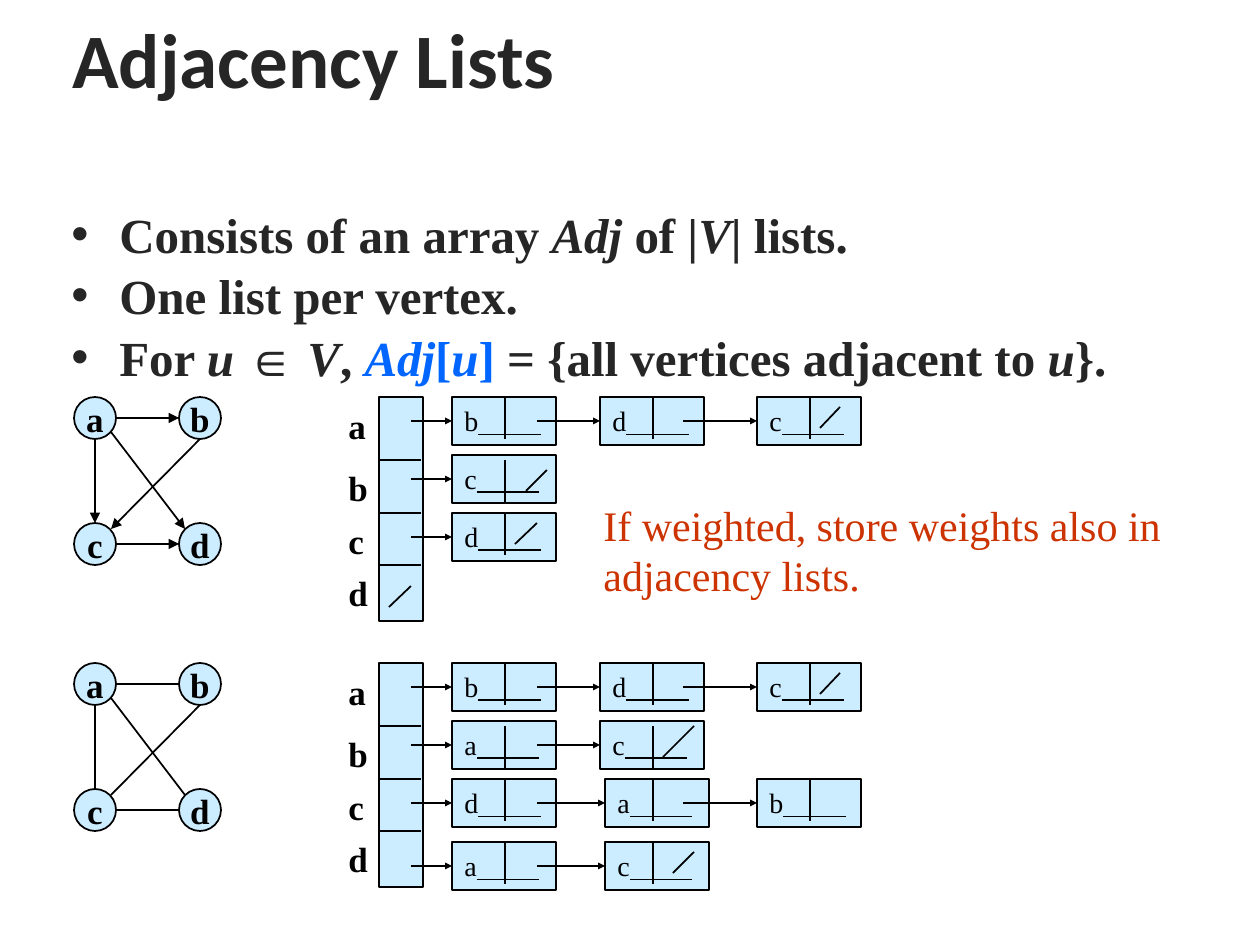
from pptx import Presentation
from pptx.dml.color import RGBColor
from pptx.enum.shapes import MSO_CONNECTOR, MSO_SHAPE
from pptx.enum.text import MSO_ANCHOR, MSO_AUTO_SIZE, PP_ALIGN
from pptx.oxml.ns import qn
from pptx.util import Pt
from lxml.etree import SubElement

PX = 914400 / 126

BLACK = RGBColor(0x00, 0x00, 0x00)
CHARCOAL = RGBColor(0x26, 0x26, 0x26)
BLUE = RGBColor(0x00, 0x66, 0xFF)
RED = RGBColor(0xCC, 0x33, 0x00)
PALE_BLUE = RGBColor(0xCC, 0xEC, 0xFF)

SERIF = "Times New Roman"
TITLE = {"name": "Calibri", "size": Pt(44), "bold": True}
BULLET = {"name": SERIF, "size": Pt(28), "bold": True}
VERTEX = {"name": SERIF, "size": Pt(20), "bold": True}
ENTRY = {"name": SERIF, "size": Pt(16)}
NOTE = {"name": SERIF, "size": Pt(24)}


def add_run(paragraph, text, style, color, **extra):
    run = paragraph.add_run()
    run.text = text
    for key, value in {**style, **extra}.items():
        setattr(run.font, key, value)
    run.font.color.rgb = color


def add_line(shapes, x1, y1, x2, y2, head=None):
    """Draw a black line; head is the arrowhead size, "sm" or "med"."""
    line = shapes.add_connector(
        MSO_CONNECTOR.STRAIGHT, *(round(v * PX) for v in (x1, y1, x2, y2)))
    line.line.color.rgb = BLACK
    line.line.width = Pt(1)
    properties = line.element.spPr
    if head:
        SubElement(properties.find(qn("a:ln")), qn("a:tailEnd"),
                   type="triangle", w=head, len=head)
    SubElement(properties, qn("a:effectLst"))
    return line


presentation = Presentation()
presentation.slide_width = round(1260 * PX)
presentation.slide_height = round(945 * PX)
slide = presentation.slides.add_slide(presentation.slide_layouts[6])

# Title, bullets and note
frames = []
for box in ((60, 10, 1158, 95), (59, 198, 1142, 694), (591, 493, 585, 113)):
    frame = slide.shapes.add_textbox(*(round(v * PX) for v in box)).text_frame
    frame.word_wrap = True
    frames.append(frame)
title, body, note = frames

title.vertical_anchor = MSO_ANCHOR.MIDDLE
add_run(title.paragraphs[0], "Adjacency Lists", TITLE, CHARCOAL)
add_run(note.paragraphs[0],
        "If weighted, store weights also in adjacency lists.", NOTE, RED)

BULLETS = [
    [("Consists of an array ", False, CHARCOAL), ("Adj", True, CHARCOAL),
     (" of |", False, CHARCOAL), ("V", True, CHARCOAL),
     ("| lists.", False, CHARCOAL)],
    [("One list per vertex.", False, CHARCOAL)],
    [("For ", False, CHARCOAL), ("u ", True, CHARCOAL),
     ("∈ ", False, CHARCOAL), ("V", True, CHARCOAL),
     (", ", False, CHARCOAL), ("Adj", True, BLUE), ("[", False, BLUE),
     ("u", True, BLUE), ("]", False, BLUE),
     (" = {all vertices adjacent to ", False, CHARCOAL),
     ("u", True, CHARCOAL), ("}.", False, CHARCOAL)],
]
for index, runs in enumerate(BULLETS):
    bullet = body.paragraphs[0] if index == 0 else body.add_paragraph()
    bullet.space_before = Pt(1.5)
    indent = bullet._p.get_or_add_pPr()
    indent.set("marL", str(round(48 * PX)))
    indent.set("indent", str(round(-48 * PX)))
    SubElement(indent, qn("a:buFont"), typeface="Arial")
    SubElement(indent, qn("a:buChar"), char="•")
    for text, italic, color in runs:
        add_run(bullet, text, BULLET, color, italic=italic)

# Graphs: all heights below are measured from the top of each graph
VERTICES = {"a": (74, 0), "b": (179, 0), "c": (74, 126), "d": (179, 126)}
EDGES = [(116, 21, 179, 21), (200, 42, 111, 132), (95, 42, 95, 126),
         (111, 35, 185, 132), (116, 147, 179, 147)]
LABEL_TOPS = {"a": 1, "b": 63, "c": 116, "d": 168}
CELL_TOPS = (0, 58, 116, 179)
DIVIDER_TOPS = (0, 63, 116, 179)
CELL_LEFTS = (452, 600, 757)
ARROW_STARTS = (411, 537, 683)

# top, edge arrowhead, adjacency lists, end-of-list slashes
GRAPHS = [
    (397, "med", ("bdc", "c", "d", ""),
     [(840, 10, 820, 31), (547, 73, 526, 94),
      (537, 126, 515, 147), (411, 189, 389, 210)]),
    (663, None, ("bdc", "ac", "dab", "ac"),
     [(840, 10, 820, 31), (694, 63, 663, 94), (694, 189, 673, 210)]),
]

for top, edge_head, lists, slashes in GRAPHS:
    shapes = slide.shapes.add_group_shape().shapes

    # Blocks: preset, place, text, style
    blocks = [(MSO_SHAPE.OVAL, (x, top + y, 42, 42), name)
              for name, (x, y) in VERTICES.items()]
    blocks.append((MSO_SHAPE.RECTANGLE, (379, top, 44, 224), ""))
    cells = []
    for row, entries in enumerate(lists):
        for column, entry in enumerate(entries):
            nudge = 5 if row > 1 and column == 1 else 0
            place = (CELL_LEFTS[column] + nudge, top + CELL_TOPS[row], 104, 48)
            cells.append((row, column))
            blocks.append((MSO_SHAPE.RECTANGLE, place, entry))

    drawn = []
    for preset, place, text in blocks:
        block = shapes.add_shape(preset, *(round(v * PX) for v in place))
        block.shadow.inherit = False
        block.fill.solid()
        block.fill.fore_color.rgb = PALE_BLUE
        block.line.color.rgb = BLACK
        block.line.width = Pt(1)
        drawn.append(block)
        if not text:
            continue
        frame = block.text_frame
        frame.word_wrap = False
        paragraph = frame.paragraphs[0]
        if preset == MSO_SHAPE.OVAL:
            frame.vertical_anchor = MSO_ANCHOR.MIDDLE
            paragraph.alignment = PP_ALIGN.CENTER
            add_run(paragraph, text, VERTEX, BLACK)
        else:
            frame.vertical_anchor = MSO_ANCHOR.TOP
            frame.auto_size = MSO_AUTO_SIZE.SHAPE_TO_FIT_TEXT
            paragraph.alignment = PP_ALIGN.LEFT
            add_run(paragraph, text, ENTRY, BLACK)
            add_run(paragraph, " " * 9, ENTRY, BLACK, underline=True)

    for x1, y1, x2, y2 in EDGES:
        add_line(shapes, x1, top + y1, x2, top + y2, edge_head)

    for name, label_top in LABEL_TOPS.items():
        label = shapes.add_textbox(
            *(round(v * PX) for v in (336, top + label_top, 45, 54)))
        label.text_frame.word_wrap = False
        label.text_frame.auto_size = MSO_AUTO_SIZE.SHAPE_TO_FIT_TEXT
        add_run(label.text_frame.paragraphs[0], name, VERTEX, BLACK)
        if name != "a":
            add_line(shapes, 379, top + label_top, 421, top + label_top)

    for (row, column), cell in zip(cells, drawn[-len(cells):]):
        divider = CELL_LEFTS[column] + 53
        divider_top = top + DIVIDER_TOPS[row]
        add_line(shapes, divider, divider_top, divider, divider_top + 42)
        middle = top + CELL_TOPS[row] + 24
        arrow = add_line(shapes, ARROW_STARTS[column], middle,
                         CELL_LEFTS[column], middle, "sm")
        arrow.end_connect(cell, 1)

    for x1, y1, x2, y2 in slashes:
        add_line(shapes, x1, top + y1, x2, top + y2)

presentation.save("out.pptx")
